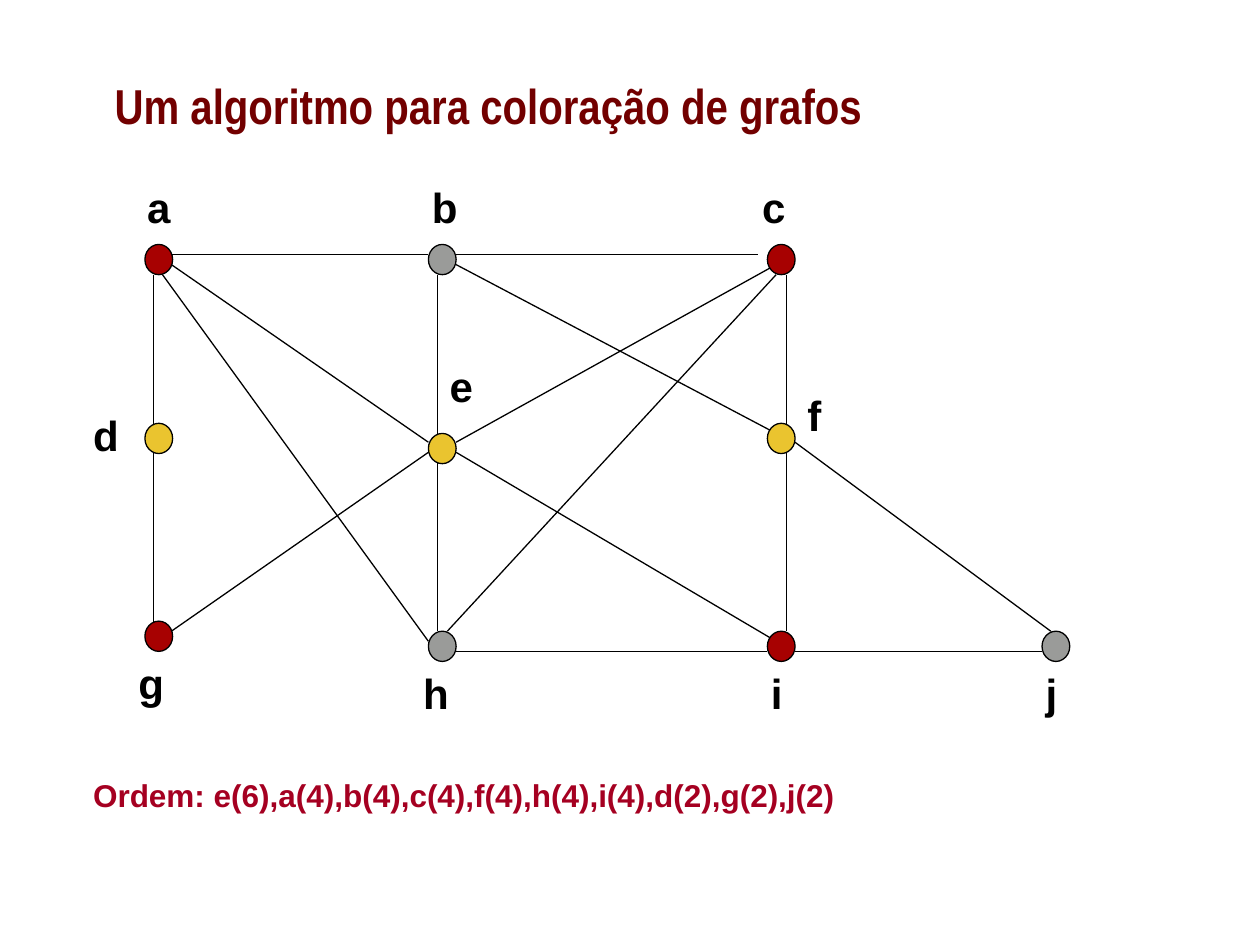
from lxml import etree
from pptx import Presentation
from pptx import util as u
from pptx.dml.color import RGBColor
from pptx.enum import shapes, text
from pptx.oxml.ns import qn

TITLE = "Um algoritmo para coloração de grafos"
ORDER = "Ordem: e(6),a(4),b(4),c(4),f(4),h(4),i(4),d(2),g(2),j(2)"
RED, YELLOW, GRAY, BLACK = "A70101", "EAC42F", "9A9B99", "000000"
NODE_SIZE = (0.22, 0.24)
LABEL_SIZE = (0.44, 0.5)

# name: (node left and top, label left and top, colour)
NODES = {
    "a": ((1.15, 1.94), (1.07, 1.39), RED),
    "b": ((3.4, 1.94), (3.33, 1.39), GRAY),
    "c": ((6.09, 1.94), (5.95, 1.39), RED),
    "d": ((1.15, 3.36), (0.64, 3.2), YELLOW),
    "e": ((3.4, 3.44), (3.47, 2.81), YELLOW),
    "f": ((6.09, 3.36), (6.31, 3.04), YELLOW),
    "g": ((1.15, 4.93), (1, 5.17), RED),
    "h": ((3.4, 5.01), (3.26, 5.25), GRAY),
    "i": ((6.09, 5.01), (6.02, 5.25), RED),
    "j": ((8.27, 5.01), (8.2, 5.25), GRAY),
}
EDGES = {
    "ab": (1.36, 2.02, 3.4, 2.02),
    "bc": (3.62, 2.02, 6.02, 2.02),
    "ad": (1.22, 2.18, 1.22, 3.44),
    "dg": (1.22, 3.59, 1.22, 5.01),
    "be": (3.47, 2.18, 3.47, 3.51),
    "eh": (3.47, 3.67, 3.47, 5.01),
    "hi": (3.62, 5.17, 6.09, 5.17),
    "cf": (6.24, 2.18, 6.24, 3.44),
    "fi": (6.24, 3.59, 6.24, 5.01),
    "ij": (6.31, 5.17, 8.27, 5.17),
    "fj": (6.31, 3.51, 8.34, 5.01),
    "ae": (1.36, 2.1, 3.4, 3.51),
    "ah": (1.29, 2.18, 3.4, 5.09),
    "eg": (3.4, 3.59, 1.36, 5.01),
    "ch": (6.16, 2.18, 3.55, 5.01),
    "ec": (3.62, 3.51, 6.16, 2.1),
    "ei": (3.62, 3.59, 6.16, 5.09),
    "bf": (3.62, 2.1, 6.16, 3.44),
}


def inches(*values):
    return [u.Inches(value) for value in values]


def paint(color_format, color):
    color_format.rgb = RGBColor.from_string(color)


def outline(shape):
    paint(shape.line.color, BLACK)
    shape.line.width = u.Pt(0.75)


def write(shape, content, size, color, font_name="Arial"):
    shape.text_frame.word_wrap = True
    paragraph = shape.text_frame.paragraphs[0]
    paragraph.text = content
    paragraph.alignment = text.PP_ALIGN.LEFT
    font = paragraph.font
    font.name, font.size, font.bold = font_name, u.Pt(size), True
    paint(font.color, color)


def add_text(slide, box, content, size, color):
    write(slide.shapes.add_textbox(*inches(*box)), content, size, color)


def add_edge(slide, ends):
    edge = slide.shapes.add_connector(shapes.MSO_CONNECTOR.STRAIGHT, *inches(*ends))
    outline(edge)
    etree.SubElement(edge._element.spPr, qn("a:effectLst"))


def add_node(slide, position, color):
    node = slide.shapes.add_shape(shapes.MSO_SHAPE.OVAL, *inches(*position, *NODE_SIZE))
    node.shadow.inherit = False
    node.fill.solid()
    paint(node.fill.fore_color, color)
    outline(node)


def main():
    """Build the graph colouring slide."""
    presentation = Presentation()
    presentation.slide_width, presentation.slide_height = inches(10, 7.5)
    slide = presentation.slides.add_slide(presentation.slide_layouts[5])

    title = slide.shapes.title
    title.left, title.top, title.width, title.height = inches(0.81, 0.21, 7.97, 1.25)
    title.text_frame.vertical_anchor = text.MSO_ANCHOR.MIDDLE
    write(title, TITLE, 28, "720000", "Arial Narrow")

    for ends in EDGES.values():
        add_edge(slide, ends)
    for name, (position, label_position, color) in NODES.items():
        add_text(slide, (*label_position, *LABEL_SIZE), name, 24, BLACK)
        add_node(slide, position, color)
    add_text(slide, (0.64, 6.11, 9.09, 0.4), ORDER, 18, "A50021")

    presentation.save("out.pptx")


if __name__ == "__main__":
    main()
